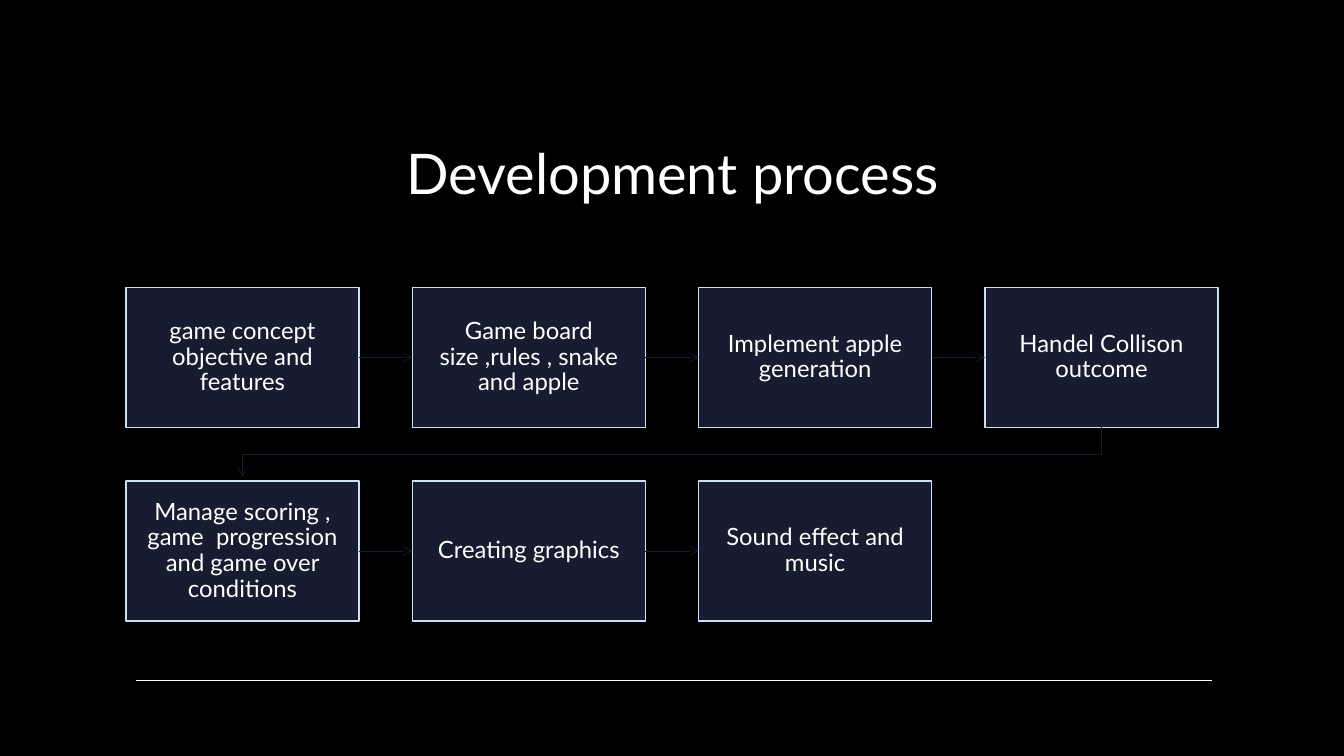
"""Build the slide of a game's development process as a two-row flow of steps."""
import pptx
import pptx.util
import pptx.dml.color
import pptx.enum.shapes
import pptx.enum.text
import pptx.oxml
import pptx.oxml.ns

Inches = pptx.util.Inches
Pt = pptx.util.Pt
RGBColor = pptx.dml.color.RGBColor
STRAIGHT = pptx.enum.shapes.MSO_CONNECTOR.STRAIGHT
ANCHOR = pptx.enum.text.MSO_ANCHOR

BLACK = RGBColor(0x00, 0x00, 0x00)
WHITE = RGBColor(0xFF, 0xFF, 0xFF)
NAVY = RGBColor(0x18, 0x1C, 0x30)
PALE = RGBColor(0xC8, 0xE1, 0xF4)

COLS = 4
LEFT, TOP = 1.25, 2.85
WIDE, HIGH = 2.31, 1.39
GAP = 0.53
TIP = 0.04
STEPS = [
    "game concept objective and features",
    "Game board size ,rules , snake and apple",
    "Implement apple generation",
    "Handel Collison outcome",
    "Manage scoring , game  progression and game over conditions",
    "Creating graphics",
    "Sound effect and music",
]


def write(frame, text, size, anchor):
    """Put centred white text into a frame."""
    frame.word_wrap = True
    frame.vertical_anchor = anchor
    frame.text = text
    para = frame.paragraphs[0]
    para.alignment = pptx.enum.text.PP_ALIGN.CENTER
    font = para.runs[0].font
    font.name, font.size = "Lato", Pt(size)
    font.color.rgb = WHITE
    return para


def stroke(shape, color, width, arrow=False):
    """Style a line, with no shadow and an optional arrowhead."""
    shape.line.color.rgb = color
    shape.line.width = Pt(width)
    props = shape._element.spPr
    if props.find(pptx.oxml.ns.qn("a:effectLst")) is None:
        props.append(pptx.oxml.parse_xml(
            f'<a:effectLst {pptx.oxml.ns.nsdecls("a")}/>'))
    if arrow:
        shape.line._get_or_add_ln().append(pptx.oxml.parse_xml(
            f'<a:tailEnd {pptx.oxml.ns.nsdecls("a")} type="arrow"/>'))


deck = pptx.Presentation()
deck.slide_width, deck.slide_height = Inches(13.33), Inches(7.5)
slide = deck.slides.add_slide(deck.slide_layouts[6])
slide.background.fill.solid()
slide.background.fill.fore_color.rgb = BLACK
shapes = slide.shapes

title = shapes.add_textbox(Inches(1.92), Inches(0.99), Inches(9.5), Inches(1.1))
write(title.text_frame, "Development process", 40, ANCHOR.BOTTOM)

rule = shapes.add_connector(
    STRAIGHT, Inches(1.35), Inches(6.75), Inches(12.02), Inches(6.75))
stroke(rule, WHITE, 1)

boxes = []
for i, step in enumerate(STEPS):
    row, col = divmod(i, COLS)
    box = shapes.add_shape(
        pptx.enum.shapes.MSO_SHAPE.RECTANGLE,
        Inches(LEFT + col * (WIDE + GAP)), Inches(TOP + row * (HIGH + GAP)),
        Inches(WIDE), Inches(HIGH))
    box.shadow.inherit = False
    box.fill.solid()
    box.fill.fore_color.rgb = NAVY
    stroke(box, PALE, 1)
    frame = box.text_frame
    frame.margin_left = frame.margin_right = Inches(0.11)
    frame.margin_top = frame.margin_bottom = Inches(0.12)
    write(frame, step, 17, ANCHOR.MIDDLE).line_spacing = 0.9
    boxes.append(box)

for i, (box, after) in enumerate(zip(boxes, boxes[1:]), 1):
    if i % COLS:
        link = shapes.add_connector(STRAIGHT, 0, 0, 0, 0)
        link.begin_connect(box, 3)
        link.end_connect(after, 1)
    else:
        start = box.left + box.width // 2
        end = after.left + after.width // 2
        base = box.top + box.height
        turn = (base + after.top) // 2
        path = shapes.build_freeform(start, base)
        path.add_line_segments(
            [(start, turn), (end, turn), (end, after.top - Inches(TIP))], close=False)
        link = path.convert_to_shape()
        link.fill.background()
    stroke(link, NAVY, 0.5, arrow=True)

deck.save("out.pptx")
